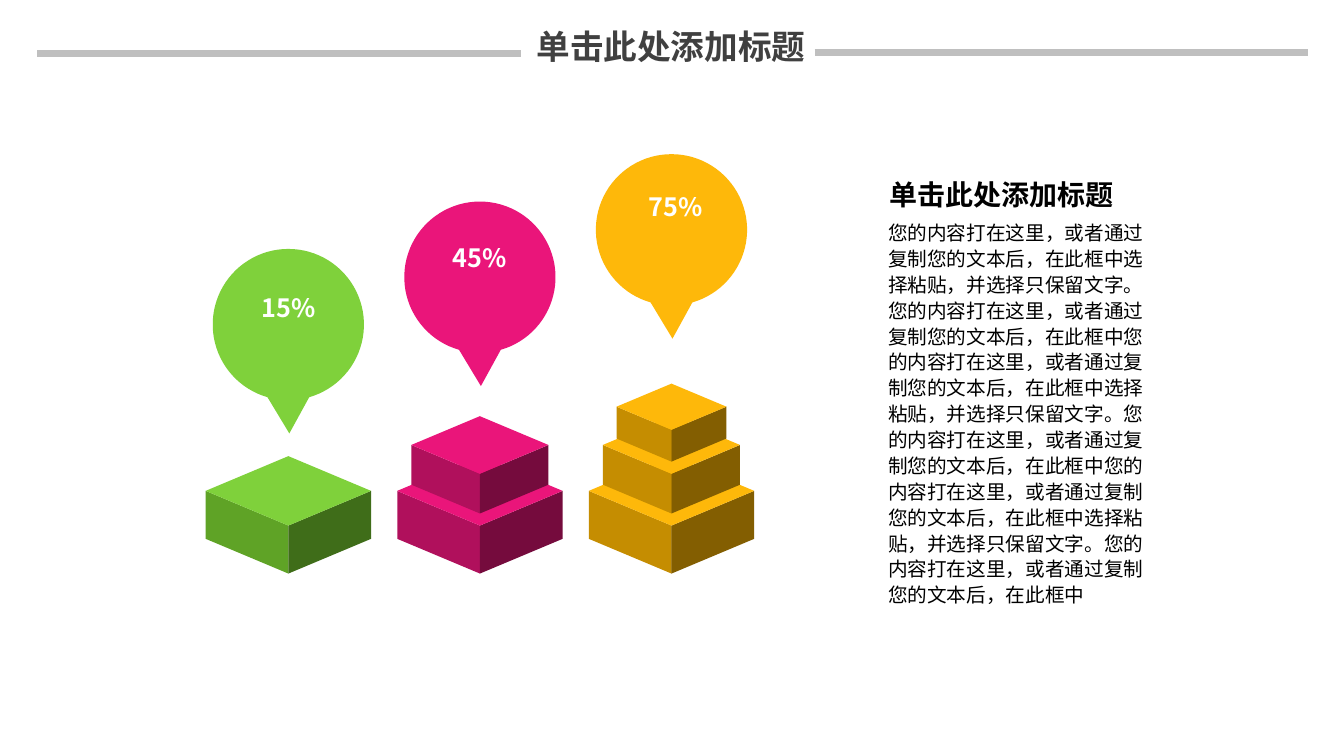
from dataclasses import dataclass
from math import cos, radians, sin

from lxml.etree import SubElement
from pptx import Presentation
from pptx.dml.color import RGBColor
from pptx.enum.shapes import MSO_CONNECTOR
from pptx.enum.text import MSO_ANCHOR, PP_ALIGN
from pptx.oxml.ns import qn
from pptx.util import Inches, Pt

TITLE = "单击此处添加标题"
BODY_TITLE = "单击此处添加标题"
PASTE = "您的内容打在这里，或者通过复制您的文本后，在此框中"
CHOOSE = "选择粘贴，并选择只保留文字。"
BODY = (PASTE + CHOOSE + PASTE) * 3
COLUMNS = [
    {"label": "15%", "tiers": 1, "nudge": 0, "colors": ("5FA326", "3F6D19", "7FD13B")},
    {"label": "45%", "tiers": 2, "nudge": 0, "colors": ("B0105C", "750B3D", "EA157A")},
    {"label": "75%", "tiers": 3, "nudge": 0.04, "colors": ("C58D01", "835E01", "FEB80A")},
]
RULES = [(8.08, 12.97, 0.52), (0.37, 5.17, 0.53)]


@dataclass(frozen=True)
class Theme:
    font: str = "Noto Sans CJK SC"
    title: str = "404040"
    text: str = "000000"
    light: str = "FFFFFF"
    rule: str = "BFBFBF"
    title_size: int = 24
    heading_size: int = 20
    label_size: int = 18
    body_size: int = 14
    rule_width: float = 4.5


THEME = Theme()
SLIDE_W, SLIDE_H = 13.33, 7.5
FIRST_X, PITCH = 2.86, 1.9
BASE_Y = 5.69
HALF_WIDTHS = (0.82, 0.68, 0.545)
DEPTH, THICKNESS, LEDGE = 0.42, 0.58, 0.12
BALLOON_TOP, BALLOON_RISE, RADIUS = 2.47, 0.47, 0.75
TAIL_LENGTH = 1.08
LABEL_TOP, LABEL_RISE, LABEL_W, LABEL_H = 2.85, 0.5, 1.28, 0.74


def write(sp, text, *, size, color, bold=False, align=PP_ALIGN.LEFT, wrap=False, spacing=None):
    tf = sp.text_frame
    tf.word_wrap = wrap
    tf.vertical_anchor = MSO_ANCHOR.TOP
    tf.margin_left = tf.margin_right = Inches(0.1)
    tf.margin_top = tf.margin_bottom = Inches(0.05)
    p = tf.paragraphs[0]
    p.alignment = align
    if spacing:
        p.line_spacing = spacing
    r = p.add_run()
    r.text = text
    r.font.name = THEME.font
    r.font.size = Pt(size)
    r.font.bold = bold
    r.font.color.rgb = RGBColor.from_string(color)
    SubElement(r.font._element, qn("a:ea"), typeface=THEME.font)


def add_text(s, box, text, **fmt):
    write(s.shapes.add_textbox(*map(Inches, box)), text, **fmt)


def add_polygon(s, points, color):
    pts = [(Inches(x), Inches(y)) for x, y in points]
    builder = s.shapes.build_freeform(*pts[0])
    builder.add_line_segments(pts[1:], close=True)
    sp = builder.convert_to_shape()
    sp.shadow.inherit = False
    sp.fill.solid()
    sp.fill.fore_color.rgb = RGBColor.from_string(color)
    sp.line.fill.background()


def add_rule(s, x1, x2, y):
    line = s.shapes.add_connector(MSO_CONNECTOR.STRAIGHT, *map(Inches, (x1, y, x2, y)))
    line.line.color.rgb = RGBColor.from_string(THEME.rule)
    line.line.width = Pt(THEME.rule_width)
    SubElement(line._element.spPr, qn("a:effectLst"))


def add_stack(s, x, tiers, colors):
    left, right, top = colors
    bottom = BASE_Y
    for half in HALF_WIDTHS[:tiers]:
        depth, thick = half * DEPTH, half * THICKNESS
        y = bottom - depth - thick
        front = (x, y + depth)
        for side, color in ((-half, left), (half, right)):
            corner = (x + side, y)
            add_polygon(s, [corner, front, (x, bottom), (x + side, y + thick)], color)
        add_polygon(s, [(x, y - depth), (x - half, y), front, (x + half, y)], top)
        bottom -= thick + LEDGE


def add_balloon(s, x, top, color):
    y = top + RADIUS
    arc = [(x + RADIUS * cos(radians(a)), y + RADIUS * sin(radians(a)))
           for a in range(106, 435, 4)]
    add_polygon(s, arc + [(x + 0.01, y + TAIL_LENGTH)], color)


def main():
    prs = Presentation()
    prs.slide_width, prs.slide_height = Inches(SLIDE_W), Inches(SLIDE_H)
    s = prs.slides.add_slide(prs.slide_layouts[5])
    title = s.shapes.title
    title.left, title.top, title.width, title.height = map(Inches, (5.22, 0.21, 2.87, 0.53))
    write(title, TITLE, size=THEME.title_size, color=THEME.title, bold=True, align=PP_ALIGN.CENTER)
    for rule in RULES:
        add_rule(s, *rule)

    for i, col in enumerate(COLUMNS):
        x = FIRST_X + i * PITCH
        add_stack(s, x, col["tiers"], col["colors"])
        add_balloon(s, x, BALLOON_TOP - i * BALLOON_RISE, col["colors"][-1])
        box = (x - LABEL_W / 2 + col["nudge"], LABEL_TOP - i * LABEL_RISE, LABEL_W, LABEL_H)
        add_text(s, box, col["label"], size=THEME.label_size, color=THEME.light,
                 bold=True, align=PP_ALIGN.CENTER)

    add_text(s, (8.72, 1.71, 2.43, 0.43), BODY_TITLE, size=THEME.heading_size,
             color=THEME.text, bold=True)
    add_text(s, (8.71, 2.12, 2.86, 3.94), BODY, size=THEME.body_size,
             color=THEME.text, wrap=True, spacing=1.1)
    prs.save("out.pptx")


if __name__ == "__main__":
    main()
